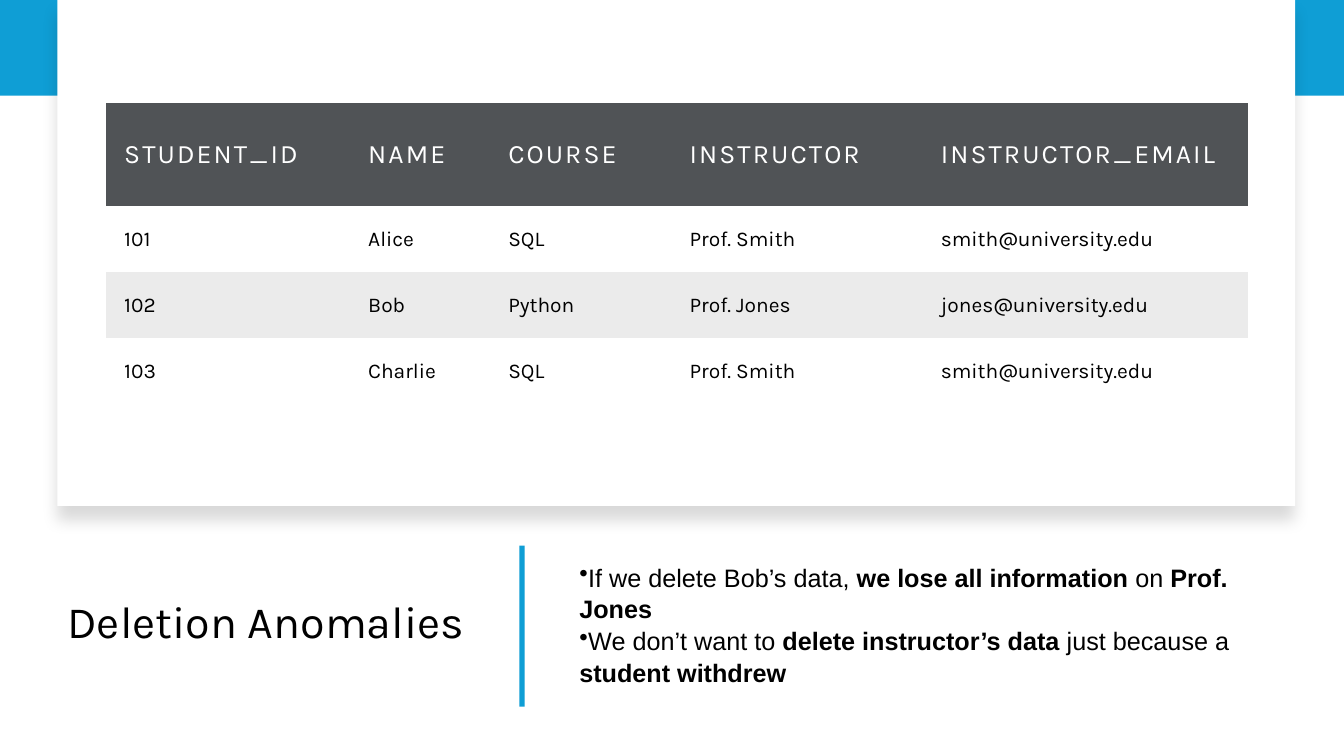
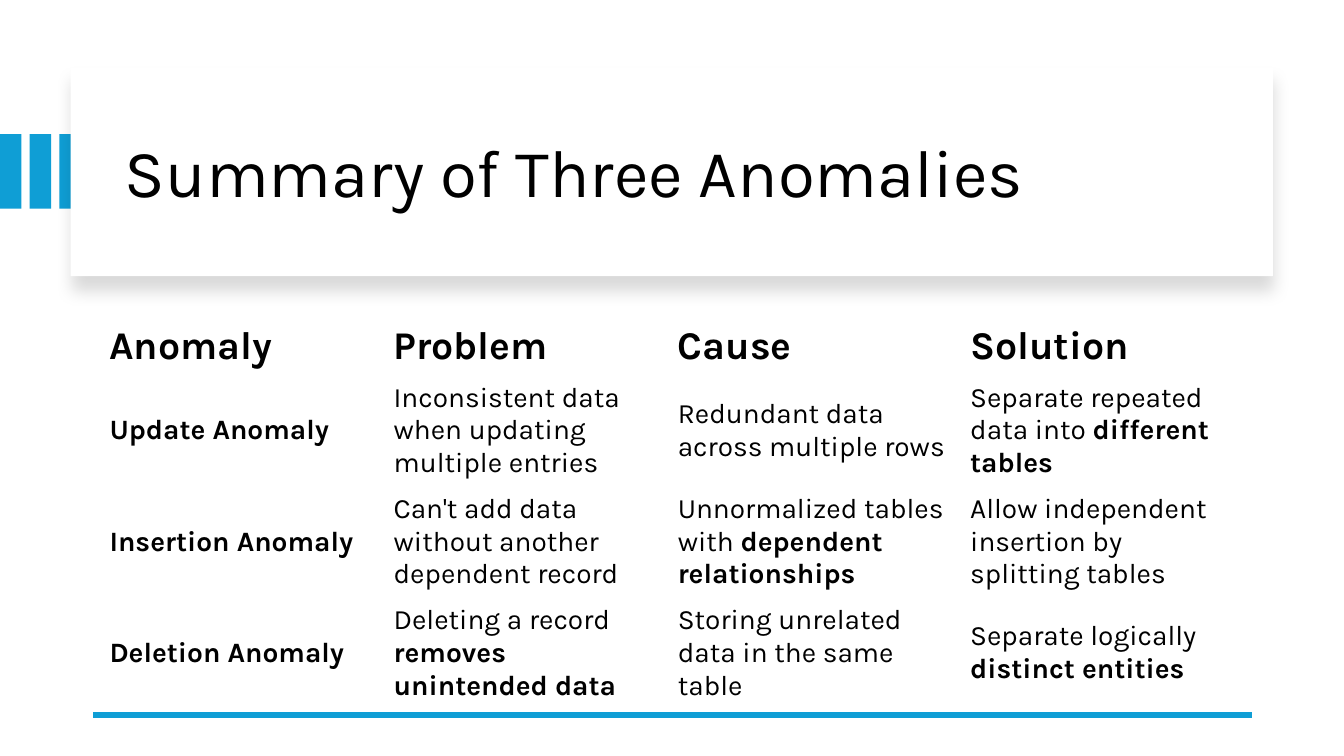
"""Build two slides on database anomalies."""
import pptx
import pptx.dml.color
import pptx.enum.shapes
import pptx.enum.text
import pptx.oxml.ns
import pptx.util
from lxml import etree
from pptx.util import Cm, Pt

COLORS = {"accent": "0F9ED5", "paper": "FFFFFF", "ink": "000000",
          "header": "505356", "stripe": "EBEBEB"}
HEADING_FONT = "Karla"
BODY_FONT = "Arial"
NO_GRID_STYLE = "{2D5ABB26-0587-4C30-8999-92F81FD0307C}"

DELETION_TITLE = "Deletion Anomalies"
DELETION_POINTS = [
    "If we delete Bob’s data, **we lose all information** on **Prof. Jones**",
    "We don’t want to **delete instructor’s data** just because a **student withdrew**",
]
ENROLLMENTS = [
    ("STUDENT_ID", "NAME", "COURSE", "INSTRUCTOR", "INSTRUCTOR_EMAIL"),
    ("101", "Alice", "SQL", "Prof. Smith", "smith@university.edu"),
    ("102", "Bob", "Python", "Prof. Jones", "jones@university.edu"),
    ("103", "Charlie", "SQL", "Prof. Smith", "smith@university.edu"),
]
SUMMARY_TITLE = "Summary of Three Anomalies"
ANOMALIES = [
    ("Anomaly", "Problem", "Cause", "Solution"),
    ("Update Anomaly", "Inconsistent data when updating multiple entries",
     "Redundant data across multiple rows",
     "Separate repeated data into **different tables**"),
    ("Insertion Anomaly", "Can't add data without another dependent record",
     "Unnormalized tables with **dependent relationships**",
     "Allow independent insertion by splitting tables"),
    ("Deletion Anomaly", "Deleting a record **removes unintended data**",
     "Storing unrelated data in the same table",
     "Separate logically **distinct entities**"),
]


def rgb(name):
    return pptx.dml.color.RGBColor.from_string(COLORS[name])


def write(paragraph, text, size, font=HEADING_FONT, color="ink", bold=False, spacing=None):
    for index, part in enumerate(text.split("**")):
        if part:
            run = paragraph.add_run()
            run.text = part
            if index % 2:
                run.font.bold = True
    style = paragraph.font
    style.size, style.name, style.bold = Pt(size), font, bold
    style.color.rgb = rgb(color)
    if spacing:
        style._rPr.set("spc", str(spacing))


def add_block(slide, left, top, width, height, color="accent"):
    block = slide.shapes.add_shape(pptx.enum.shapes.MSO_SHAPE.RECTANGLE,
                                   Cm(left), Cm(top), Cm(width), Cm(height))
    block.shadow.inherit = False
    block.fill.solid()
    block.fill.fore_color.rgb = rgb(color)
    block.line.fill.background()
    return block


def add_panel(slide, *box):
    panel = add_block(slide, *box, color="paper")
    qn = pptx.oxml.ns.qn
    effects = panel._element.spPr.find(qn("a:effectLst"))
    shadow = etree.SubElement(effects, qn("a:outerShdw"), blurRad=str(Pt(11)),
                              dist=str(Pt(10)), dir="5400000", rotWithShape="0")
    tint = etree.SubElement(shadow, qn("a:srgbClr"), val=COLORS["ink"])
    etree.SubElement(tint, qn("a:alpha"), val="15000")


def add_text_frame(slide, left, top, width, height):
    frame = slide.shapes.add_textbox(Cm(left), Cm(top), Cm(width), Cm(height)).text_frame
    frame.word_wrap = True
    frame.vertical_anchor = pptx.enum.text.MSO_ANCHOR.MIDDLE
    return frame


def add_title(slide, text, size, *box):
    paragraph = add_text_frame(slide, *box).paragraphs[0]
    paragraph.line_spacing = 0.9
    write(paragraph, text, size)


def add_grid(slide, rows, left, top, widths, heights, margins, fills, style_for):
    grid = slide.shapes.add_table(len(rows), len(widths), Cm(left), Cm(top),
                                  Cm(sum(widths)), Cm(sum(heights))).table
    grid._tbl.tblPr.find(pptx.oxml.ns.qn("a:tableStyleId")).text = NO_GRID_STYLE
    grid.first_row = grid.horz_banding = False
    for column, width in zip(grid.columns, widths):
        column.width = Cm(width)
    for r, (row, height) in enumerate(zip(rows, heights)):
        grid.rows[r].height = Cm(height)
        for c, text in enumerate(row):
            cell = grid.cell(r, c)
            cell.margin_left = cell.margin_right = Cm(margins[0])
            cell.margin_top = cell.margin_bottom = Cm(margins[1])
            cell.vertical_anchor = pptx.enum.text.MSO_ANCHOR.MIDDLE
            if r in fills:
                cell.fill.solid()
                cell.fill.fore_color.rgb = rgb(fills[r])
            else:
                cell.fill.background()
            write(cell.text_frame.paragraphs[0], text, **style_for(r, c))


def enrollment_style(row, column):
    if row == 0:
        return {"size": 19, "color": "paper", "spacing": 150}
    return {"size": 15}


def anomaly_style(row, column):
    return {"size": 20 if row else 28, "bold": row == 0 or column == 0}


def build_deletion(slide):
    add_title(slide, DELETION_TITLE, 32, 1.45, 13.56, 10.77, 4.32)
    add_block(slide, 0, 0, 33.87, 2.41)
    add_panel(slide, 1.45, 0, 31.19, 12.75)
    add_block(slide, 13.09, 13.75, 0.13, 4.06)
    frame = add_text_frame(slide, 14.35, 13.56, 18.29, 4.32)
    for index, point in enumerate(DELETION_POINTS):
        paragraph = frame.add_paragraph() if index else frame.paragraphs[0]
        properties = paragraph._p.get_or_add_pPr()
        properties.set("marL", "0")
        properties.set("indent", "0")
        etree.SubElement(properties, pptx.oxml.ns.qn("a:buChar"), char="•")
        paragraph.line_spacing = 1.05
        write(paragraph, point, 18, BODY_FONT)
    add_grid(slide, ENROLLMENTS, 2.67, 2.59, [6.15, 3.53, 4.57, 6.33, 8.2],
             [2.61] + [1.66] * 3, (0.46, 0.46), {0: "header", 2: "stripe"},
             enrollment_style)


def build_summary(slide):
    for index in range(3):
        add_block(slide, 0.75 * index, 3.38, 0.54, 1.88)
    add_panel(slide, 1.78, 1.7, 30.3, 5.26)
    add_title(slide, SUMMARY_TITLE, 48, 2.9, 2.26, 28.27, 4.32)
    rule = slide.shapes.add_connector(pptx.enum.shapes.MSO_CONNECTOR.STRAIGHT,
                                      Cm(31.55), Cm(18.01), Cm(2.34), Cm(18.01))
    rule.line.color.rgb = rgb("accent")
    rule.line.width = Pt(4.5)
    etree.SubElement(rule._element.spPr, pptx.oxml.ns.qn("a:effectLst"))
    add_grid(slide, ANOMALIES, 2.51, 8, [7.16, 7.16, 7.37, 7.16],
             [1.41] + [2.73] * 3, (0.25, 0.13), {}, anomaly_style)


def main():
    deck = pptx.Presentation()
    deck.slide_width, deck.slide_height = Cm(33.87), Cm(19.05)
    for build in (build_deletion, build_summary):
        build(deck.slides.add_slide(deck.slide_layouts[6]))
    deck.save("out.pptx")


if __name__ == "__main__":
    main()
